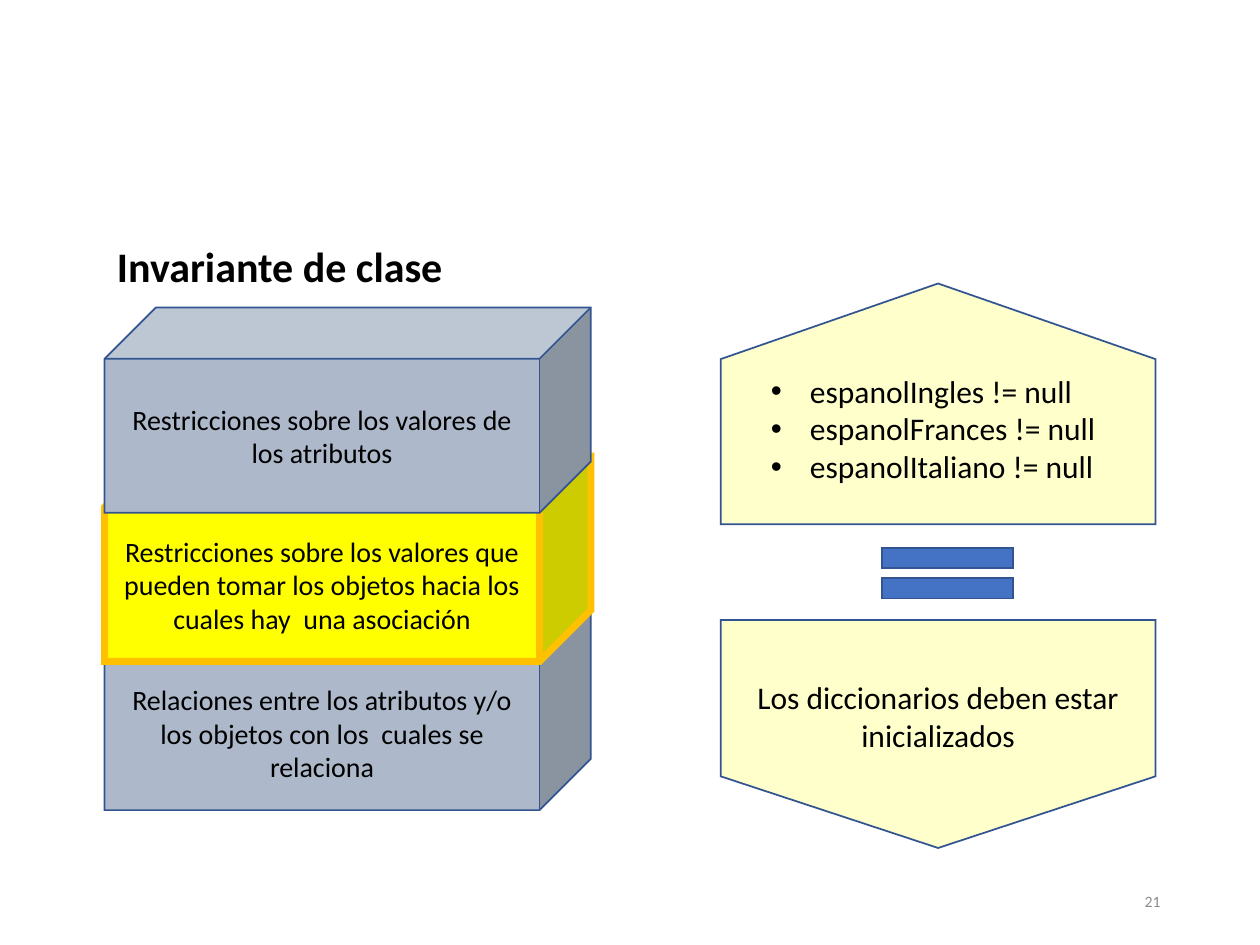
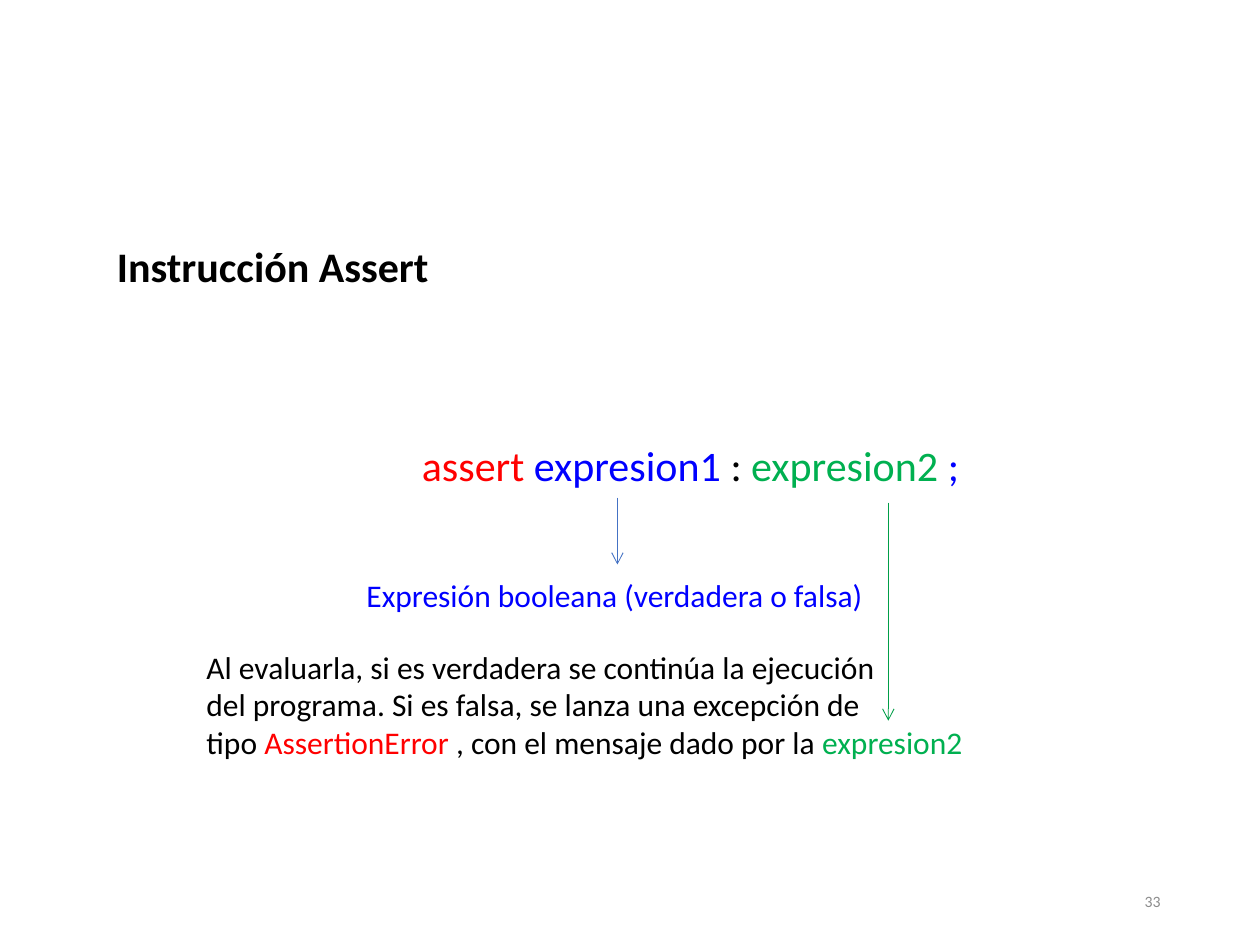
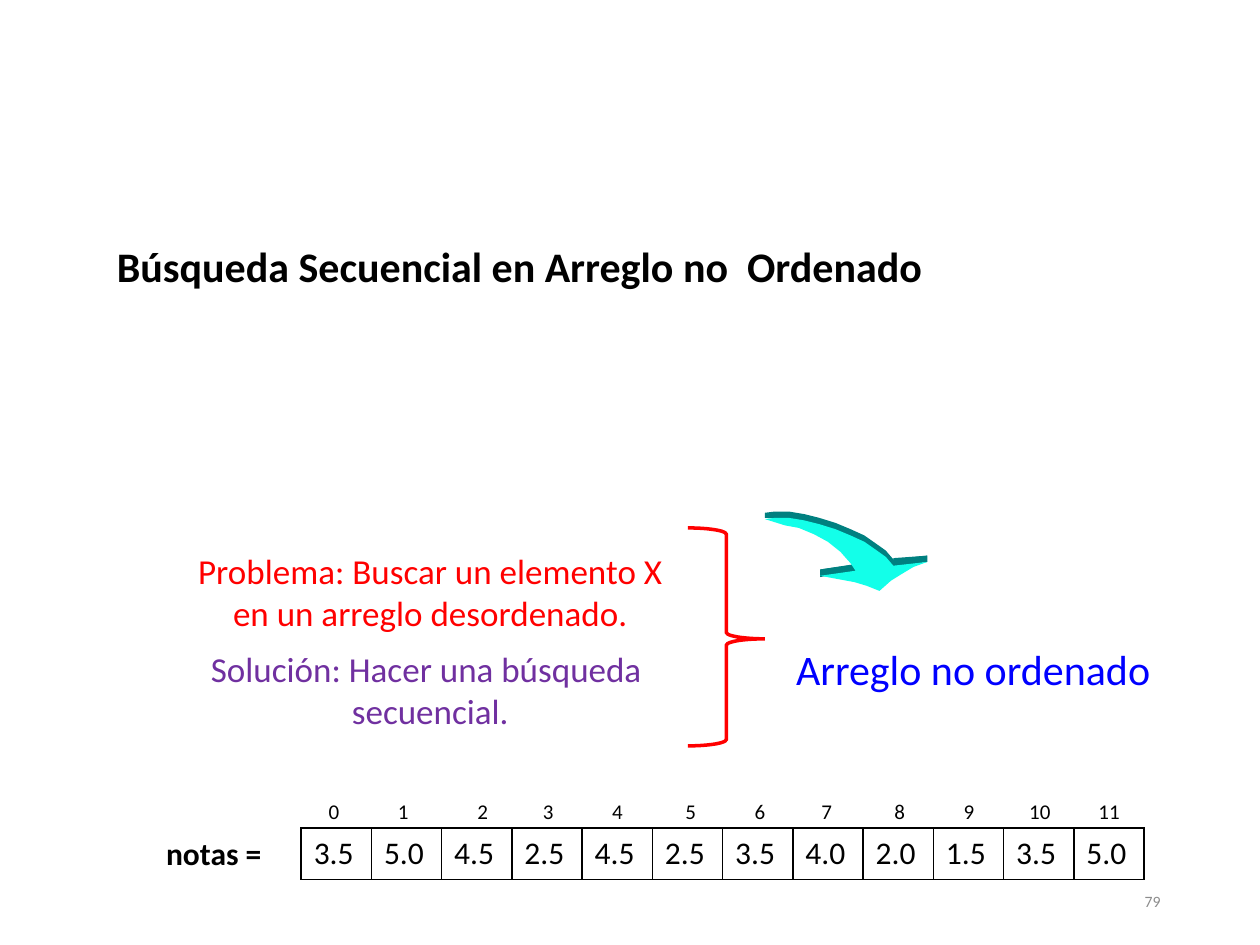
"""Build three lecture slides: class invariant, assert statement and sequential search."""
import lxml.etree
import pptx
import pptx.dml.color
import pptx.enum.shapes
import pptx.enum.text
import pptx.oxml.ns
import pptx.util

Inches, Pt = pptx.util.Inches, pptx.util.Pt
qn = pptx.oxml.ns.qn
SHAPE = pptx.enum.shapes.MSO_SHAPE
ALIGN = pptx.enum.text.PP_ALIGN
MIDDLE = pptx.enum.text.MSO_ANCHOR.MIDDLE

COLORS = {
    "black": "000000", "grey": "8C8C8C", "outline": "325491", "accent": "4472C4",
    "cream": "FFFFCC", "slate": "ADB9CA", "yellow": "FFFF00", "gold": "FFC000",
    "red": "FF0000", "blue": "0000FF", "green": "00B050", "dark_green": "009E47",
    "purple": "7030A0", "teal": "008080", "turquoise": "13FFE9",
}
FONTS = {
    "title": {"size": Pt(24), "bold": True},
    "large": {"size": Pt(24)},
    "problem": {"size": Pt(20)},
    "body": {"size": Pt(18)},
    "label": {"size": Pt(18), "bold": True},
    "cube": {"size": Pt(16)},
    "index": {"size": Pt(12)},
    "number": {"size": Pt(9)},
}


def write(frame, paragraphs, font, align=ALIGN.LEFT, **layout):
    for name, value in {"word_wrap": True, **layout}.items():
        setattr(frame, name, value)
    for i, runs in enumerate(paragraphs):
        paragraph = frame.add_paragraph() if i else frame.paragraphs[0]
        paragraph.alignment = align
        for text, color in runs:
            run = paragraph.add_run()
            run.text = text
            for name, value in {"name": "Calibri", **FONTS[font]}.items():
                setattr(run.font, name, value)
            run.font.color.rgb = pptx.dml.color.RGBColor.from_string(COLORS[color])


def paint(shape, fill=None, line=None, width=1):
    shape.shadow.inherit = False
    for part, color in ((shape.fill, fill), (shape.line.fill, line)):
        if color:
            part.solid()
            part.fore_color.rgb = pptx.dml.color.RGBColor.from_string(COLORS[color])
        else:
            part.background()
    if line:
        shape.line.width = Pt(width)
        lxml.etree.SubElement(shape.line._get_or_add_ln(), qn("a:miter")).set("lim", "800000")


deck = pptx.Presentation()
deck.slide_width, deck.slide_height = Inches(10), Inches(7.5)

pages = []
for title, title_width, number in (
    ("Invariante de clase", 5.35, "21"),
    ("Instrucción Assert", 5.35, "33"),
    ("Búsqueda Secuencial en Arreglo no  Ordenado", 7.17, "79"),
):
    page = deck.slides.add_slide(deck.slide_layouts[6]).shapes
    heading = page.add_textbox(Inches(0.83), Inches(1.86), Inches(title_width), Inches(0.5))
    write(heading.text_frame, [[(title, "black")]], "title")
    footer = page.add_textbox(Inches(7.06), Inches(6.95), Inches(2.25), Inches(0.4))
    write(footer.text_frame, [[(number, "grey")]], "number", ALIGN.RIGHT, vertical_anchor=MIDDLE)
    pages.append(page)
invariant, assertion, search = pages

for box, rotation in (((6.54, 4.1, 1.81, 3.45), 90), ((6.49, 1.48, 1.91, 3.45), 270)):
    pentagon = invariant.add_shape(SHAPE.PENTAGON, *map(Inches, box))
    pentagon.rotation = rotation
    pentagon.adjustments[0] = 0.314
    paint(pentagon, "cream", "outline")

equals = invariant.add_shape(SHAPE.MATH_EQUAL, Inches(6.81), Inches(4.21), Inches(1.42), Inches(0.68))
paint(equals, "accent", "outline")

for row, (text, fill, line, width) in enumerate((
    ("Relaciones entre los atributos y/o los objetos con los  cuales se relaciona", "slate", "outline", 1),
    ("Restricciones sobre los valores que pueden tomar los objetos hacia los cuales hay  una asociación",
     "yellow", "gold", 4),
    ("Restricciones sobre los valores de los atributos", "slate", "outline", 1),
)):
    cube = invariant.add_shape(SHAPE.CUBE, Inches(0.83), Inches(4.8 - 1.18 * row), Inches(3.86), Inches(1.63))
    paint(cube, fill, line, width)
    write(cube.text_frame, [[(text, "black")]], "cube", ALIGN.CENTER, vertical_anchor=MIDDLE)

conditions = invariant.add_textbox(Inches(6.02), Inches(2.9), Inches(2.99), Inches(1.01)).text_frame
dictionaries = ("espanolIngles", "espanolFrances", "espanolItaliano")
write(conditions, [[(f"{name} != null", "black")] for name in dictionaries], "body")
for condition in conditions.paragraphs:
    properties = condition._p.get_or_add_pPr()
    properties.set("marL", str(Inches(0.31)))
    properties.set("indent", str(-Inches(0.31)))
    lxml.etree.SubElement(properties, qn("a:buFont")).set("typeface", "Arial")
    lxml.etree.SubElement(properties, qn("a:buChar")).set("char", "•")

meaning = invariant.add_textbox(Inches(5.87), Inches(5.33), Inches(3.15), Inches(0.71))
write(meaning.text_frame, [[("Los diccionarios deben estar inicializados", "black")]], "body", ALIGN.CENTER)

for box, paragraphs, font, wrap in (
    ((3.25, 3.44, 4.5, 0.5),
     [[("assert ", "red"), ("expresion1 ", "blue"), (": ", "black"), ("expresion2 ", "green"), (";", "blue")]],
     "large", False),
    ((2.81, 4.52, 4.19, 0.4), [[("Expresión booleana (verdadera o falsa)", "blue")]], "body", False),
    ((1.54, 5.09, 6.22, 1.01),
     [[("Al evaluarla, si es verdadera se continúa la ejecución", "black")],
      [("del programa. Si es falsa, se lanza una excepción de", "black")],
      [("tipo ", "black"), ("AssertionError ", "red"), (", con el mensaje dado por la ", "black"),
       ("expresion2", "green")]],
     "body", True),
):
    explanation = assertion.add_textbox(*map(Inches, box))
    write(explanation.text_frame, paragraphs, font, word_wrap=wrap)

for x, top, bottom, color in ((4.9, 3.95, 4.48, "accent"), (7.05, 3.99, 5.72, "dark_green")):
    pointer = assertion.add_connector(
        pptx.enum.shapes.MSO_CONNECTOR.STRAIGHT, Inches(x), Inches(top), Inches(x), Inches(bottom))
    pointer.line.width = Pt(0.5)
    pointer.line.color.rgb = pptx.dml.color.RGBColor.from_string(COLORS[color])
    lxml.etree.SubElement(pointer.line._get_or_add_ln(), qn("a:tailEnd")).set("type", "arrow")
    lxml.etree.SubElement(pointer._element.spPr, qn("a:effectLst"))

upper_face = [
    (6.07, 4.07), (6.15, 4.06), (6.26, 4.06), (6.38, 4.08), (6.5, 4.11), (6.63, 4.15), (6.75, 4.2),
    (6.86, 4.25), (6.96, 4.32), (7.03, 4.37), (7.09, 4.44), (7.36, 4.41), (7.25, 4.45), (7.15, 4.51),
    (7.07, 4.56), (6.98, 4.64), (6.88, 4.6), (6.78, 4.57), (6.67, 4.55), (6.51, 4.52), (6.79, 4.48),
    (6.75, 4.42), (6.67, 4.33), (6.57, 4.25), (6.46, 4.19), (6.34, 4.14), (6.23, 4.12), (6.07, 4.11),
]
lower_face = [(x, y + 0.05) for x, y in upper_face[:-1]]
left_edge = [(6.51, 4.52), (6.51, 4.58), (6.79, 4.53), (6.79, 4.51), (6.77, 4.48)]
right_edge = [(7.36, 4.41), (7.36, 4.46), (7.09, 4.5), (7.09, 4.43)]
curved_arrow = search.add_group_shape().shapes
for outline, color in (
    (upper_face, "teal"), (left_edge, "teal"), (right_edge, "teal"), (lower_face, "turquoise"),
):
    points = [(Inches(x), Inches(y)) for x, y in outline]
    builder = curved_arrow.build_freeform(*points[0])
    builder.add_line_segments(points[1:], close=True)
    paint(builder.convert_to_shape(), color)

brace = search.add_shape(SHAPE.RIGHT_BRACE, Inches(5.46), Inches(4.19), Inches(0.61), Inches(1.73))
brace.adjustments[0], brace.adjustments[1] = 0.083, 0.509
paint(brace, line="red", width=2)

for box, text, color, font, align, wrap in (
    ((6.22, 5.06, 3.04, 0.5), "Arreglo no ordenado", "blue", "large", ALIGN.LEFT, False),
    ((1.44, 4.31, 3.95, 0.77), "Problema: Buscar un elemento X en un arreglo desordenado.", "red",
     "problem", ALIGN.CENTER, True),
    ((1.44, 5.09, 3.95, 0.77), "Solución: Hacer una búsqueda  secuencial.", "purple",
     "problem", ALIGN.CENTER, True),
    ((1.22, 6.57, 1.09, 0.4), "notas =", "black", "label", ALIGN.LEFT, False),
):
    caption = search.add_textbox(*map(Inches, box))
    write(caption.text_frame, [[(text, color)]], font, align, word_wrap=wrap)

grades = ("3.5", "5.0", "4.5", "2.5", "4.5", "2.5", "3.5", "4.0", "2.0", "1.5", "3.5", "5.0")
array = search.add_table(1, len(grades), Inches(2.39), Inches(6.57), Inches(6.69), Inches(0.41)).table
array.first_row = array.horz_banding = False
for column, grade in enumerate(grades):
    cell = array.cell(0, column)
    write(cell.text_frame, [[(grade, "black")]], "body")
    for side in ("a:lnL", "a:lnR", "a:lnT", "a:lnB"):
        border = lxml.etree.SubElement(cell._tc.get_or_add_tcPr(), qn(side))
        border.set("w", str(Pt(1)))
        ink = lxml.etree.SubElement(border, qn("a:solidFill"))
        lxml.etree.SubElement(ink, qn("a:srgbClr")).set("val", COLORS["black"])
    cell.fill.background()

index_lefts = (2.51, 3.06, 3.69, 4.21, 4.76, 5.34, 5.89, 6.42, 7, 7.55, 8.07, 8.62)
for index, left in enumerate(index_lefts):
    width = 0.29 if index < 10 else 0.37
    position = search.add_textbox(Inches(left), Inches(6.29), Inches(width), Inches(0.3))
    write(position.text_frame, [[(str(index), "black")]], "index", word_wrap=False)

deck.save("out.pptx")
